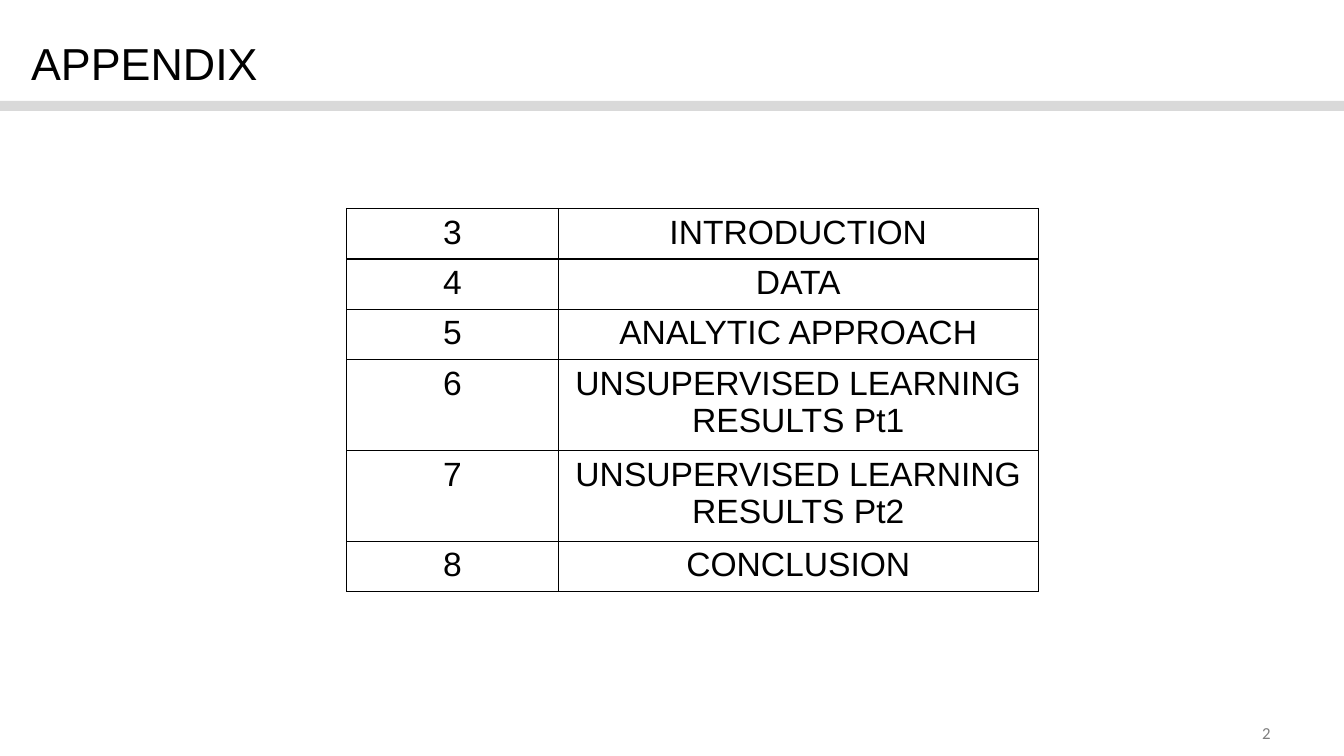
from pptx import Presentation
from pptx.dml.color import RGBColor
from pptx.enum.shapes import MSO_SHAPE as Shape
from pptx.enum.text import PP_ALIGN as Align
from pptx.util import Pt
from lxml.etree import SubElement as Sub
from pptx.oxml.ns import qn

# Content
TITLE = "APPENDIX"
PAGE = "2"
TOPICS = [
    ("3", "INTRODUCTION"),
    ("4", "DATA"),
    ("5", "ANALYTIC APPROACH"),
    ("6", "UNSUPERVISED LEARNING RESULTS Pt1"),
    ("7", "UNSUPERVISED LEARNING RESULTS Pt2"),
    ("8", "CONCLUSION"),
]

# Look
BLACK = RGBColor(0, 0, 0)
GREY = RGBColor(0x7E, 0x7E, 0x7E)
PALE = RGBColor(0xD9, 0xD9, 0xD9)
WIDE, HIGH = 960, 540
COLS = (151.2, 342.7)
ROW, TALL = 34, 60.5
FIT = 20  # characters that fit on one line


def style(par, font, size, color):
    par.font.name = font
    par.font.size = Pt(size)
    par.font.color.rgb = color


def label(slide, text, box, pad, look):
    frame = slide.shapes.add_textbox(*map(Pt, box)).text_frame
    frame.word_wrap = True
    frame.margin_left, frame.margin_top = map(Pt, pad)
    frame.margin_right = frame.margin_bottom = 0
    par = frame.paragraphs[0]
    par.text = text
    style(par, *look)
    return par


def border(cell):
    props = cell._tc.get_or_add_tcPr()
    for spot, side in enumerate(("lnL", "lnR", "lnT", "lnB")):
        line = props.makeelement(qn("a:" + side), {"w": str(Pt(1))})
        fill = Sub(line, qn("a:solidFill"))
        Sub(fill, qn("a:srgbClr"), val=str(BLACK))
        props.insert(spot, line)


def main():
    deck = Presentation()
    deck.slide_width, deck.slide_height = Pt(WIDE), Pt(HIGH)
    slide = deck.slides.add_slide(deck.slide_layouts[6])

    # Band under the title
    band = slide.shapes.add_shape(
        Shape.RECTANGLE, 0, Pt(72), Pt(WIDE), Pt(7.2))
    band.shadow.inherit = False
    band.fill.solid()
    band.fill.fore_color.rgb = PALE
    band.line.fill.background()

    # Title and page number
    label(slide, TITLE, (15.1, 17.3, 880, 31.7), (7.2, 8),
          ("Arial", 32, BLACK))
    page = label(slide, PAGE, (899.3, 515.5, 16.6, 13.7), (2.2, 0),
                 ("Calibri", 12, GREY))
    page.line_spacing = 1.03

    # Table of topics
    highs = [TALL if len(name) > FIT else ROW for _, name in TOPICS]
    table = slide.shapes.add_table(
        len(TOPICS), len(COLS), Pt(247.7), Pt(149),
        Pt(sum(COLS)), Pt(sum(highs))).table
    table.first_row = table.horz_banding = False
    for col, width in zip(table.columns, COLS):
        col.width = Pt(width)
    for row, high, topic in zip(table.rows, highs, TOPICS):
        row.height = Pt(high)
        for cell, text in zip(row.cells, topic):
            cell.text = text
            cell.fill.background()
            par = cell.text_frame.paragraphs[0]
            par.alignment = Align.CENTER
            style(par, "Arial", 24, BLACK)
            border(cell)

    deck.save("out.pptx")


if __name__ == "__main__":
    main()
